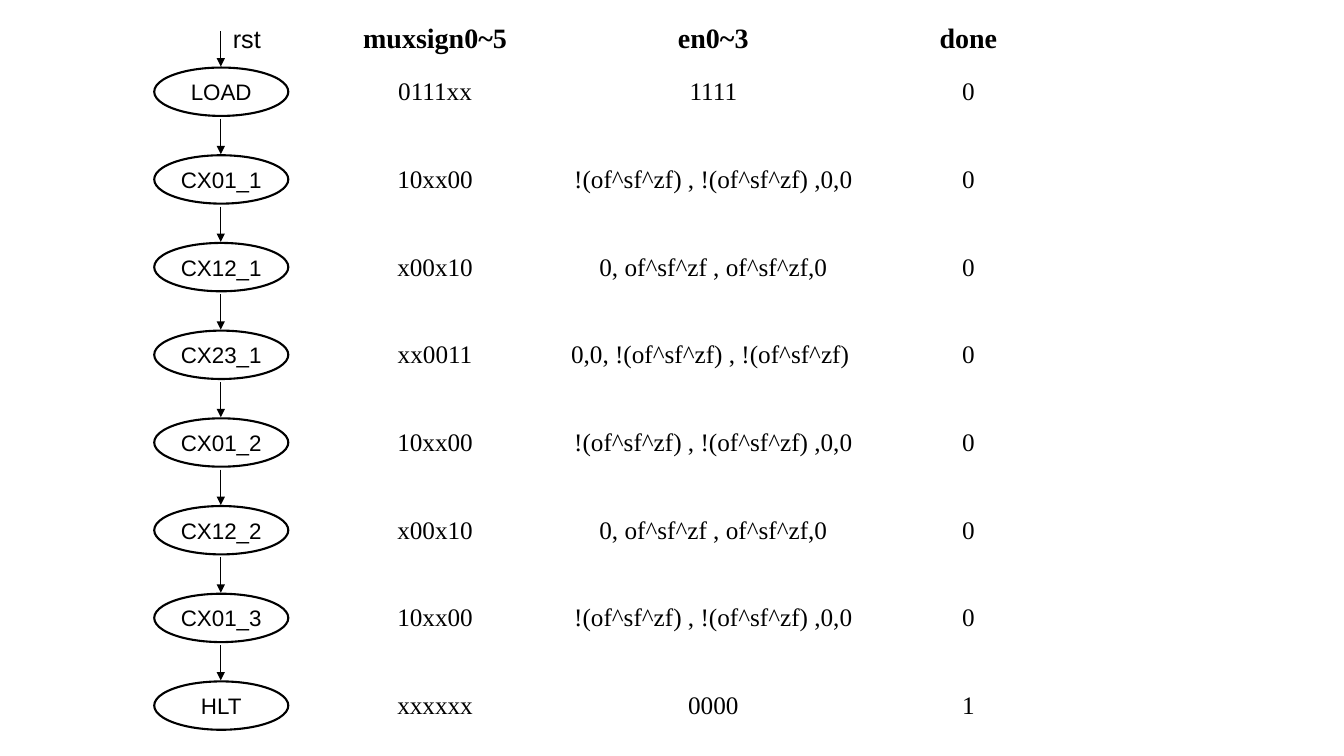
from lxml.etree import SubElement
from pptx import Presentation
from pptx.dml.color import RGBColor
from pptx.enum.shapes import MSO_CONNECTOR as Connector, MSO_SHAPE as Preset
from pptx.enum.text import MSO_ANCHOR as Anchor, PP_ALIGN as Align
from pptx.oxml.ns import qn
from pptx.util import Inches, Pt

COLORS = {"ink": "000000"}
SANS, SERIF = "Arial", "Times New Roman"

FIRST_TOP, ROW_PITCH = 0.67, 0.87
OVAL_LEFT, OVAL_WIDTH, OVAL_HEIGHT = 1.53, 1.33, 0.48
ARROW_X, ARROW_LENGTH, ARROW_GAP = 2.19, 0.35, 0.01
SIGNALS_LEFT, SIGNALS_HEIGHT, SIGNALS_RISE = 3.12, 0.55, 0.03
SIGNAL_COLUMNS = (2.39, 3.13, 1.93)

HEADINGS = ("muxsign0~5", "en0~3", "done")
COMPARE_01 = ("10xx00", "!(of^sf^zf) , !(of^sf^zf) ,0,0", "0")
COMPARE_12 = ("x00x10", "0, of^sf^zf , of^sf^zf,0", "0")
COMPARE_23 = ("xx0011", "0,0, !(of^sf^zf) , !(of^sf^zf) ", "0")
STATES = (
    ("LOAD", ("0111xx", "1111", "0")),
    ("CX01_1", COMPARE_01),
    ("CX12_1", COMPARE_12),
    ("CX23_1", COMPARE_23),
    ("CX01_2", COMPARE_01),
    ("CX12_2", COMPARE_12),
    ("CX01_3", COMPARE_01),
    ("HLT", ("xxxxxx", "0000", "1")),
)


def color(name):
    return RGBColor.from_string(COLORS[name])


def write(frame, text, font=SANS, size=16, bold=False, align=Align.CENTER):
    para = frame.paragraphs[0]
    para.alignment = align
    span = para.add_run()
    span.text = text
    span.font.name = font
    span.font.size = Pt(size)
    span.font.bold = bold
    span.font.color.rgb = color("ink")


def clear_margins(holder):
    holder.margin_left = holder.margin_right = 0
    holder.margin_top = holder.margin_bottom = 0
    holder.vertical_anchor = Anchor.MIDDLE


def add_label(page, text, left, top, width, height, **text_format):
    box = page.shapes.add_textbox(*map(Inches, (left, top, width, height)))
    clear_margins(box.text_frame)
    box.text_frame.word_wrap = False
    write(box.text_frame, text, **text_format)


def add_state(page, name, top):
    oval = page.shapes.add_shape(
        Preset.OVAL, *map(Inches, (OVAL_LEFT, top, OVAL_WIDTH, OVAL_HEIGHT)))
    oval.shadow.inherit = False
    oval.fill.background()
    oval.line.color.rgb = color("ink")
    oval.line.width = Pt(1.5)
    clear_margins(oval.text_frame)
    oval.text_frame.word_wrap = False
    write(oval.text_frame, name)


def add_arrow_into(page, state_top):
    tip = state_top - ARROW_GAP
    arrow = page.shapes.add_connector(
        Connector.STRAIGHT,
        *map(Inches, (ARROW_X, tip - ARROW_LENGTH, ARROW_X, tip)))
    arrow.line.color.rgb = color("ink")
    arrow.line.width = Pt(0.75)
    SubElement(arrow.line._get_or_add_ln(), qn("a:tailEnd"), type="triangle")
    SubElement(arrow._element.spPr, qn("a:effectLst"))


def add_signals(page, values, top, **text_format):
    frame = page.shapes.add_table(
        1, len(values),
        *map(Inches, (SIGNALS_LEFT, top, sum(SIGNAL_COLUMNS), SIGNALS_HEIGHT)))
    table = frame.table
    table.first_row = table.horz_banding = False
    for column, width in zip(table.columns, SIGNAL_COLUMNS):
        column.width = Inches(width)
    for cell, value in zip(table.iter_cells(), values):
        cell.fill.background()
        clear_margins(cell)
        write(cell.text_frame, value, font=SERIF, **text_format)


def main():
    deck = Presentation()
    deck.slide_width, deck.slide_height = Inches(13.33), Inches(7.5)
    page = deck.slides.add_slide(deck.slide_layouts[6])

    add_label(page, "rst", 2.31, 0.22, 0.4, 0.33, size=18, align=Align.LEFT)
    add_signals(page, HEADINGS, 0.11, size=20, bold=True)
    for row, (name, values) in enumerate(STATES):
        top = FIRST_TOP + row * ROW_PITCH
        add_signals(page, values, top - SIGNALS_RISE, size=18)
        add_arrow_into(page, top)
        add_state(page, name, top)

    deck.save("out.pptx")


main()
